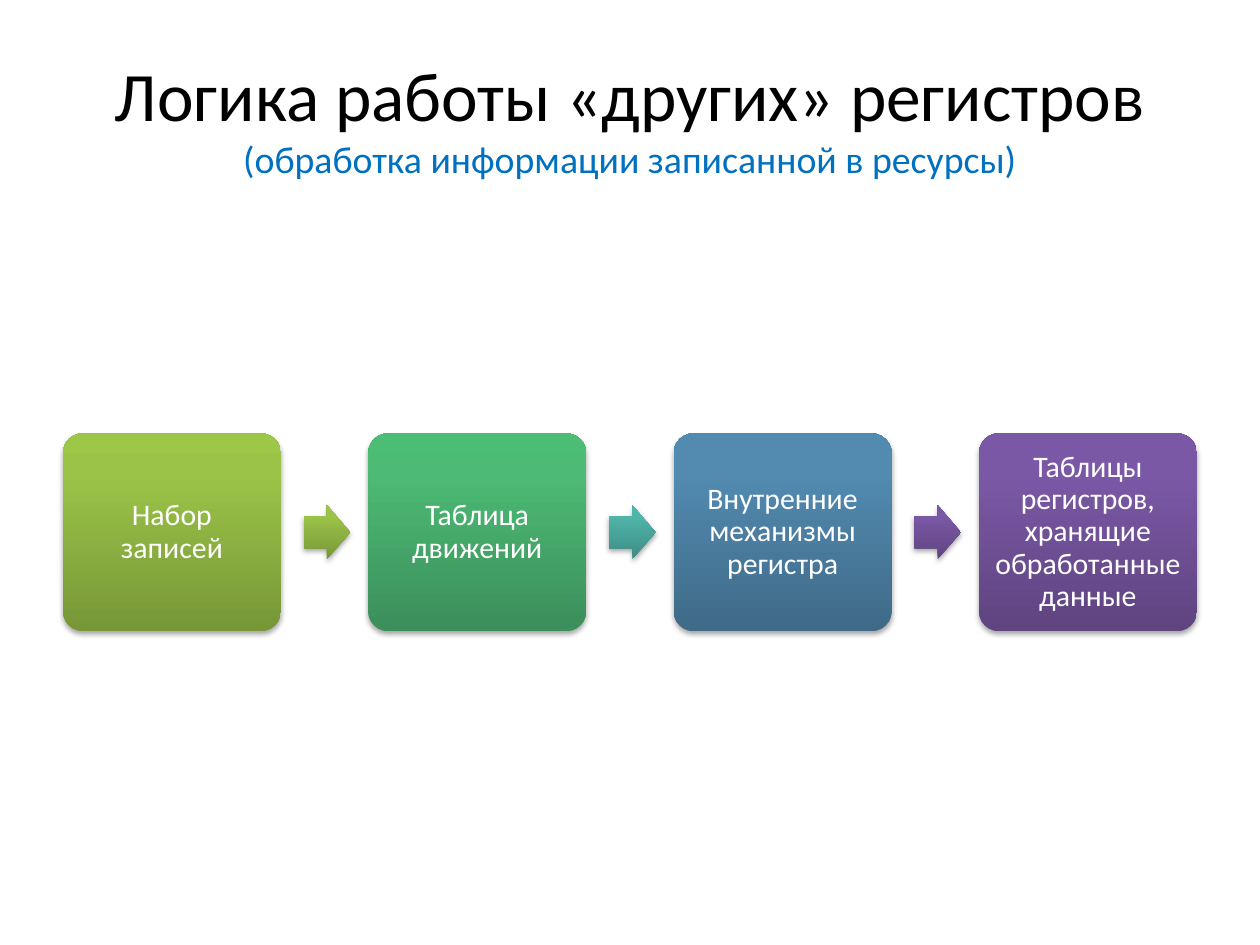
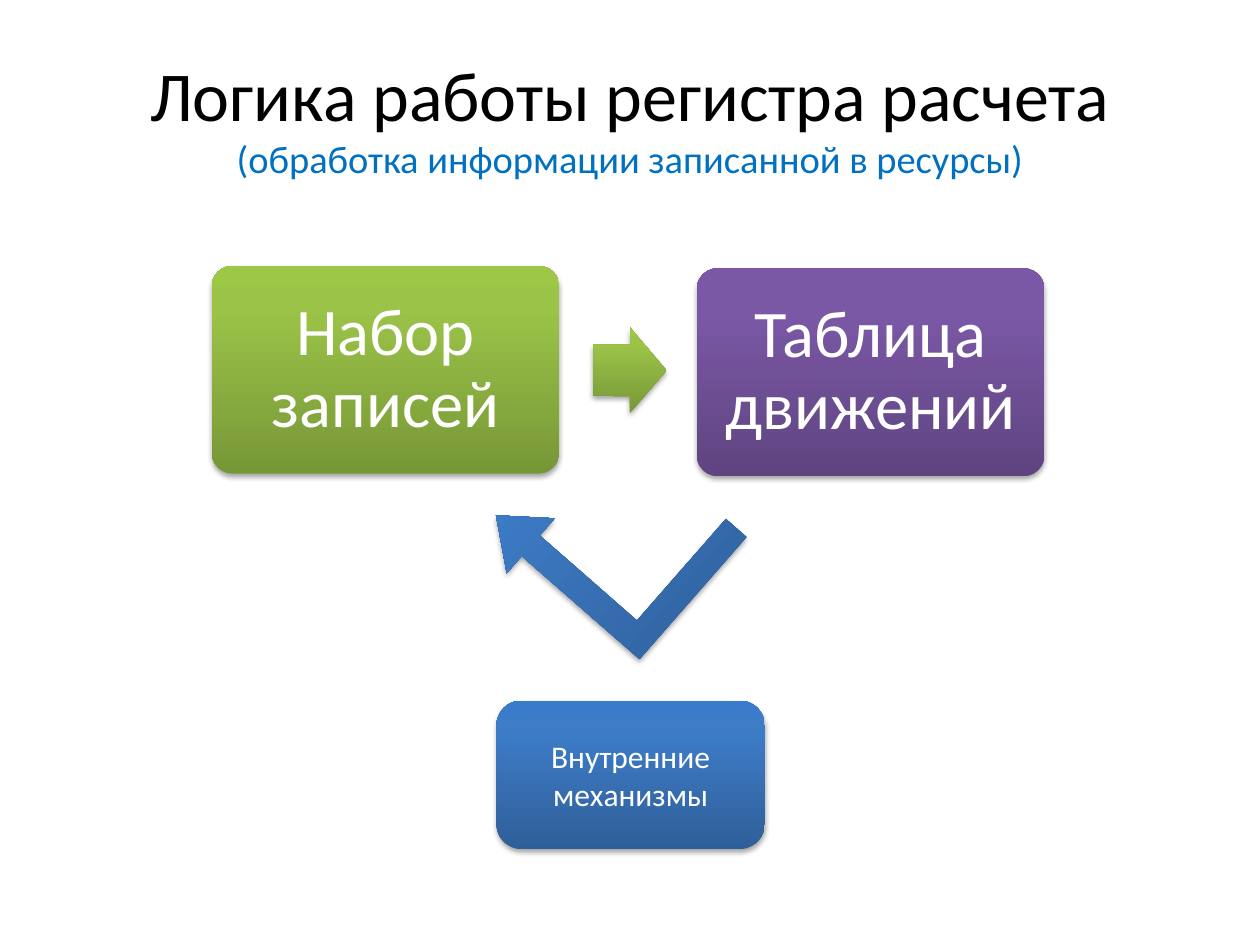
from typing import NamedTuple

from lxml.etree import SubElement
from pptx import Presentation
from pptx.dml.color import RGBColor
from pptx.enum.shapes import MSO_SHAPE
from pptx.enum.text import MSO_ANCHOR, MSO_AUTO_SIZE, PP_ALIGN
from pptx.oxml import parse_xml
from pptx.oxml.ns import nsdecls, qn
from pptx.util import Inches, Pt

FONT = "Calibri"
BLACK, WHITE, ACCENT = "000000", "FFFFFF", "0070C0"
SUBTITLE = "(обработка информации записанной в ресурсы)"

# Gradient colours at 0, 80 and 100 percent, from bottom to top
STOPS = (0, 80, 100)
LIME = ("779737", "9BC348", "9DC746")
GREEN = ("3B8F5A", "4DBA75", "4BBD75")
TEAL = ("3D8B83", "50B5AA", "4EB8AC")
STEEL = ("3F6A88", "528AB0", "518BB3")
PURPLE = ("5F4480", "7B58A6", "7C57A8")
BLUE = ("2F5F99", "3D7CC7", "3A7CCB")


class Area(NamedTuple):
    left: float
    top: float
    width: float
    height: float


class Label(NamedTuple):
    text: str
    size: float
    inset: tuple[float, float]
    line: float


class Step(NamedTuple):
    text: str
    fill: tuple
    arrow: tuple | None


def style(font, size: float, color: str) -> None:
    font.name = FONT
    font.size = Pt(size)
    font.color.rgb = RGBColor.from_string(color)


def paint(shape, colors: tuple) -> None:
    """Give the shape a three-stop gradient and a soft shadow, without outline."""
    shape.line.fill.background()
    line = shape._element.spPr.find(qn("a:ln"))
    grad = parse_xml(f'<a:gradFill {nsdecls("a")} rotWithShape="1"><a:gsLst/>'
                     '<a:lin ang="16200000" scaled="0"/></a:gradFill>')
    for pos, color in zip(STOPS, colors):
        stop = SubElement(grad[0], qn("a:gs"), pos=str(pos * 1000))
        SubElement(stop, qn("a:srgbClr"), val=color)
    line.addprevious(grad)
    line.addnext(parse_xml(
        f'<a:effectLst {nsdecls("a")}><a:outerShdw blurRad="{Pt(3.1)}" '
        f'dist="{Pt(1.8)}" dir="5400000" rotWithShape="0"><a:srgbClr val="{BLACK}">'
        '<a:alpha val="35000"/></a:srgbClr></a:outerShdw></a:effectLst>'))


def add(slide, kind, area: Area, colors: tuple, adjust: tuple = (), turn: float = 0):
    shape = slide.shapes.add_shape(kind, *map(Inches, area))
    for i, value in enumerate(adjust):
        shape.adjustments[i] = value
    shape.rotation = turn
    paint(shape, colors)
    return shape


def add_box(slide, area: Area, colors: tuple, label: Label, round_by: float = 0.1) -> None:
    frame = add(slide, MSO_SHAPE.ROUNDED_RECTANGLE, area, colors, (round_by,)).text_frame
    frame.word_wrap = True
    frame.vertical_anchor = MSO_ANCHOR.MIDDLE
    side, edge = map(Inches, label.inset)
    frame.margin_left = frame.margin_right = side
    frame.margin_top = frame.margin_bottom = edge
    frame.text = label.text
    para = frame.paragraphs[0]
    para.alignment = PP_ALIGN.CENTER
    para.line_spacing = label.line
    style(para.font, label.size, WHITE)


def add_arrow(slide, area: Area, colors: tuple, turn: float = 0) -> None:
    add(slide, MSO_SHAPE.RIGHT_ARROW, area, colors, (0.6, 0.5), turn)


def add_slide(deck, title: str, size: float, small: float):
    """Start a slide with the shared two-line title."""
    slide = deck.slides.add_slide(deck.slide_layouts[5])
    head = slide.shapes.title
    head.left, head.top, head.width, head.height = map(Inches, (0.5, 0.3, 9, 1.25))
    frame = head.text_frame
    frame.auto_size = MSO_AUTO_SIZE.NONE
    frame.vertical_anchor = MSO_ANCHOR.MIDDLE
    para = frame.paragraphs[0]
    para.alignment = PP_ALIGN.CENTER
    run = para.add_run()
    run.text = title
    style(run.font, size, BLACK)
    para.add_line_break()
    run = para.add_run()
    run.text = SUBTITLE
    style(run.font, small, ACCENT)
    return slide


deck = Presentation()
deck.slide_width, deck.slide_height = Inches(10), Inches(7.5)

# Slide 1: row of four steps, spread evenly between the margins
slide = add_slide(deck, "Логика работы «других» регистров", 39.6, 21.6)
steps = [
    Step("Набор записей", LIME, LIME),
    Step("Таблица движений", GREEN, TEAL),
    Step("Внутренние механизмы регистра", STEEL, PURPLE),
    Step("Таблицы регистров, хранящие обработанные данные", PURPLE, None),
]
wide = 1.73
pitch = (9 - wide) / (len(steps) - 1)
for i, step in enumerate(steps):
    left = 0.5 + i * pitch
    add_box(slide, Area(left, 3.44, wide, 1.57), step.fill,
            Label(step.text, 17, (0.07, 0.07), 0.9))
    if step.arrow:
        add_arrow(slide, Area(left + wide + 0.18, 4.01, 0.37, 0.43), step.arrow)

# Slide 2: two steps with a way back through the inner workings
slide = add_slide(deck, "Логика работы регистра расчета", 40, 22)
for left, top, text, fill in ((1.68, 2.11, "Набор записей", LIME),
                              (5.53, 2.13, "Таблица движений", PURPLE)):
    add_box(slide, Area(left, top, 2.76, 1.65), fill,
            Label(text, 38, (0.16, 0.16), 0.9))
add_arrow(slide, Area(4.71, 2.6, 0.58, 0.68), LIME, 0.2)

# Bent arrow back to the first step
bent = add(slide, MSO_SHAPE.BENT_UP_ARROW, Area(4.1, 3.48, 1.47, 1.61), BLUE,
           (0.148, 0.197, 0.25), 311.2)
bent._element.spPr.xfrm.set("flipH", "1")
add_box(slide, Area(3.94, 5.56, 2.13, 1.18), BLUE,
        Label("Внутренние механизмы", 18, (0.1, 0.05), 1.0), 0.17)

deck.save("out.pptx")
